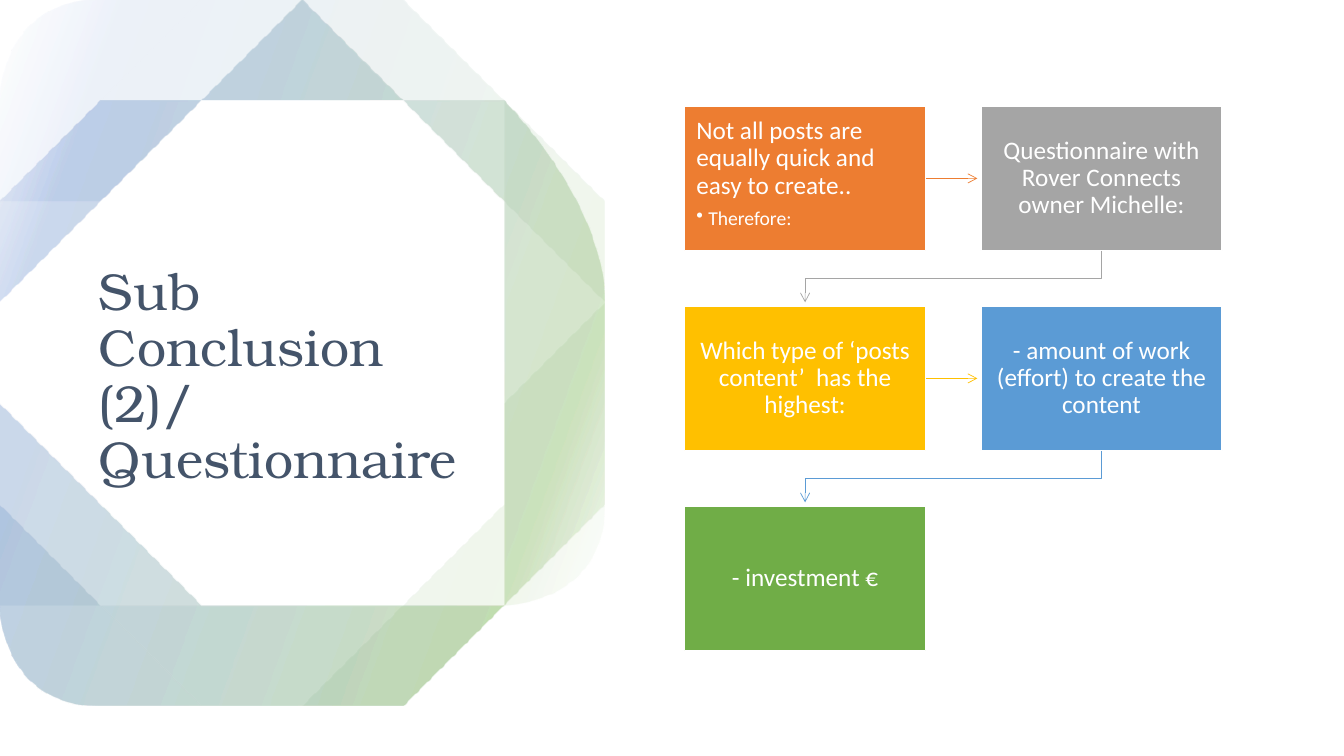
import pptx
import pptx.dml.color
import pptx.enum.shapes
import pptx.enum.text
import pptx.oxml
import pptx.util
from pptx.oxml.ns import nsdecls, qn

Cm, Pt = pptx.util.Cm, pptx.util.Pt

TITLE = "Sub Conclusion (2)/ Questionnaire"
# text, bullet below it, fill; in reading order, two to a row
STEPS = [
    ("Not all posts are equally quick and easy to create..", "Therefore:", "ED7D31"),
    ("Questionnaire with Rover Connects owner Michelle:", None, "A5A5A5"),
    ("Which type of ‘posts content’  has the highest:", None, "FFC000"),
    ("- amount of work (effort) to create the content", None, "5B9BD5"),
    ("- investment €", None, "70AD47"),
]
COLUMNS = 2
LEFT, TOP, WIDTH, HEIGHT = Cm(17.25), Cm(2.67), Cm(6.08), Cm(3.65)
PITCH_X, PITCH_Y = Cm(7.47), Cm(5.04)
ARROW_GAP = Cm(0.09)

# Rings open at the left slide edge: outer edge runs clockwise, inner edge back.
# Points are in units of 2.54 cm.
RING_UNIT = Cm(2.54)
RING_STOPS = [(2, "FFFFFF"), (16, "70AD47"), (85, "4472C4"), (100, "FFFFFF")]
ROUGH_OUTER = [
    (0, 1.84), (1.09, 0.75), (2.34, 0.15), (3.73, 0.27), (4.84, 1.03), (5.65, 2.03),
    (6.05, 3.29), (5.7, 4.67), (5.27, 5.72), (4.28, 6.59), (3, 6.95), (1.7, 6.75),
    (0.56, 6.14), (0, 5.61)]
ROUGH_INNER = [
    (0, 5.03), (0.76, 5.89), (1.81, 6.41), (2.97, 6.47), (4.07, 6.19), (4.97, 5.5),
    (5.35, 4.41), (5.64, 3.29), (5.33, 2.22), (4.55, 1.36), (3.53, 0.88), (2.46, 0.81),
    (1.5, 1.26), (0.57, 2.04), (0, 2.49)]
SMOOTH_OUTER = [
    (0, 1.92), (0.56, 1.39), (1.55, 0.55), (2.79, 0.18), (4.18, 0.53), (5.25, 1.42),
    (5.92, 2.52), (5.92, 3.86), (5.54, 5.14), (5.03, 5.97), (4, 6.66), (2.71, 6.88),
    (1.37, 6.61), (0.27, 5.88), (0, 5.58)]
NARROW_INNER = [
    (0, 3.83), (0.18, 4.48), (0.78, 5.36), (1.67, 5.95), (2.71, 6.15), (3.72, 5.98),
    (4.51, 5.45), (4.9, 4.69), (5.23, 3.6), (5.22, 2.76), (4.7, 1.9), (3.83, 1.17),
    (2.79, 0.92), (1.9, 1.2), (1.08, 1.91), (0.13, 2.86), (0, 3.13)]
WIDE_INNER = [
    (0, 4.34), (0.7, 5.44), (1.62, 6.06), (2.71, 6.27), (3.77, 6.09), (4.6, 5.54),
    (5.02, 4.72), (5.34, 3.65), (5.33, 2.72), (4.79, 1.82), (3.88, 1.06), (2.79, 0.79),
    (1.87, 1.07), (0.99, 1.82), (0, 2.84)]
HALO_OUTER = [
    (0, 1.16), (1.24, 0.26), (2.63, -0.01), (3.99, 0.25), (5.14, 1.02), (5.91, 2.17),
    (6.18, 3.53), (5.91, 4.89), (5.14, 6.04), (3.99, 6.81), (2.63, 7.08), (1.24, 6.8),
    (0, 5.9)]
HALO_INNER = [
    (0, 5.44), (0.65, 6.08), (1.79, 6.61), (3.04, 6.71), (4.24, 6.41), (5.24, 5.65),
    (5.64, 4.79), (5.94, 3.85), (6.05, 3.22), (5.63, 2.02), (4.75, 1.09), (3.67, 0.5),
    (2.47, 0.41), (1.38, 0.92), (0.42, 1.79), (0, 2.17)]
# outer edge, inner edge, horizontal stretch
RINGS = [
    (ROUGH_OUTER, ROUGH_INNER, 1),
    (SMOOTH_OUTER, WIDE_INNER, 1.025),
    (SMOOTH_OUTER, NARROW_INNER, 1),
    (SMOOTH_OUTER, WIDE_INNER, 1),
    (HALO_OUTER, HALO_INNER, 1),
]


def color(hex_text):
    return pptx.dml.color.RGBColor.from_string(hex_text)


def curve_edge(points):
    """Turn the straight segments between path points into Catmull-Rom curves."""
    spots = [(int(point.get("x")), int(point.get("y"))) for point in points]
    padded = [spots[0], *spots, spots[-1]]
    for point, a, b, c, d in zip(points[1:], padded, padded[1:], padded[2:], padded[3:]):
        handles = [
            [q + (r - p) / 6 for p, q, r in zip(a, b, c)],
            [r - (s - q) / 6 for q, r, s in zip(b, c, d)],
            c]
        marks = "".join(f'<a:pt x="{round(x)}" y="{round(y)}"/>' for x, y in handles)
        line = point.getparent()
        line.getparent().replace(line, pptx.oxml.parse_xml(
            f'<a:cubicBezTo {nsdecls("a")}>{marks}</a:cubicBezTo>'))


def add_ring(page, outer, inner, stretch):
    outline = [(x * stretch, y) for x, y in outer + inner]
    builder = page.shapes.build_freeform(*outline[0], scale=RING_UNIT)
    builder.add_line_segments(outline[1:], close=True)
    ring = builder.convert_to_shape()
    ring.shadow.inherit = False
    ring.line.fill.background()
    ring.fill.background()
    properties = ring._element.spPr
    points = list(properties.iter(qn("a:pt")))
    curve_edge(points[:len(outer)])
    curve_edge(points[len(outer):])
    stops = "".join(
        f'<a:gs pos="{place * 1000}"><a:srgbClr val="{tint}">'
        '<a:alpha val="10000"/></a:srgbClr></a:gs>' for place, tint in RING_STOPS)
    gradient = pptx.oxml.parse_xml(
        f'<a:gradFill {nsdecls("a")}><a:gsLst>{stops}</a:gsLst>'
        f'<a:lin ang="{200 * 60000}" scaled="0"/></a:gradFill>')
    properties.replace(properties.find(qn("a:noFill")), gradient)


def format_paragraph(para, size, after, align):
    para.alignment = align
    para.line_spacing = 0.9
    para.space_after = Pt(after)
    font = para.runs[0].font
    font.name, font.size = "Calibri", Pt(size)
    font.color.rgb = color("FFFFFF")


def add_step(page, index, text, bullet, fill):
    row, column = divmod(index, COLUMNS)
    box = page.shapes.add_shape(
        pptx.enum.shapes.MSO_SHAPE.RECTANGLE,
        LEFT + column * PITCH_X, TOP + row * PITCH_Y, WIDTH, HEIGHT)
    box.shadow.inherit = False
    box.fill.solid()
    box.fill.fore_color.rgb = color(fill)
    box.line.color.rgb = color("FFFFFF")
    box.line.width = Pt(1)
    frame = box.text_frame
    frame.word_wrap = True
    frame.margin_left = frame.margin_right = Cm(0.3)
    frame.margin_top = frame.margin_bottom = Cm(0.3)
    anchors, aligns = pptx.enum.text.MSO_ANCHOR, pptx.enum.text.PP_ALIGN
    frame.vertical_anchor = anchors.TOP if bullet else anchors.MIDDLE
    frame.text = text
    format_paragraph(frame.paragraphs[0], 18, 6.3, aligns.LEFT if bullet else aligns.CENTER)
    if bullet:
        para = frame.add_paragraph()
        para.text = bullet
        para.level = 1
        format_paragraph(para, 14, 2.1, aligns.LEFT)
        properties = para._p.get_or_add_pPr()
        properties.set("marL", str(Cm(0.3)))
        properties.set("indent", str(-Cm(0.3)))
        properties.append(pptx.oxml.parse_xml(f'<a:buChar {nsdecls("a")} char="•"/>'))
    return box


def add_arrow(page, source, target, tint):
    """Point from one step to the next: straight in a row, bent to the next row."""
    if source.top == target.top:
        middle = source.top + HEIGHT // 2
        arrow = page.shapes.add_connector(
            pptx.enum.shapes.MSO_CONNECTOR.STRAIGHT,
            source.left + WIDTH, middle, target.left - ARROW_GAP, middle)
        arrow.begin_connect(source, 3)
    else:
        start_x, end_x = source.left + WIDTH // 2, target.left + WIDTH // 2
        bottom = source.top + HEIGHT
        bend = (bottom + target.top) // 2
        builder = page.shapes.build_freeform(start_x, bottom)
        builder.add_line_segments(
            [(start_x, bend), (end_x, bend), (end_x, target.top - ARROW_GAP)], close=False)
        arrow = builder.convert_to_shape()
        arrow.fill.background()
    arrow.line.color.rgb = color(tint)
    arrow.line.width = Pt(0.5)
    arrow.line._get_or_add_ln().append(
        pptx.oxml.parse_xml(f'<a:tailEnd {nsdecls("a")} type="arrow"/>'))
    arrow._element.spPr.append(pptx.oxml.parse_xml(f'<a:effectLst {nsdecls("a")}/>'))


def main():
    deck = pptx.Presentation()
    deck.slide_width, deck.slide_height = Cm(33.87), Cm(19.05)
    page = deck.slides.add_slide(deck.slide_layouts[5])
    for ring in RINGS:
        add_ring(page, *ring)

    title = page.shapes.title
    title.left, title.top, title.width, title.height = Cm(2.24), Cm(5.61), Cm(10.16), Cm(7.82)
    frame = title.text_frame
    frame.text = TITLE
    frame.word_wrap = True
    frame.auto_size = pptx.enum.text.MSO_AUTO_SIZE.NONE
    frame.vertical_anchor = pptx.enum.text.MSO_ANCHOR.MIDDLE
    para = frame.paragraphs[0]
    para.alignment = pptx.enum.text.PP_ALIGN.LEFT
    para.line_spacing = 0.9
    font = para.runs[0].font
    font.name, font.size = "TeX Gyre Bonum", Pt(37)
    font.color.rgb = color("44546A")

    boxes = [add_step(page, index, *step) for index, step in enumerate(STEPS)]
    for source, target, step in zip(boxes, boxes[1:], STEPS):
        add_arrow(page, source, target, step[2])
    deck.save("out.pptx")


if __name__ == "__main__":
    main()
